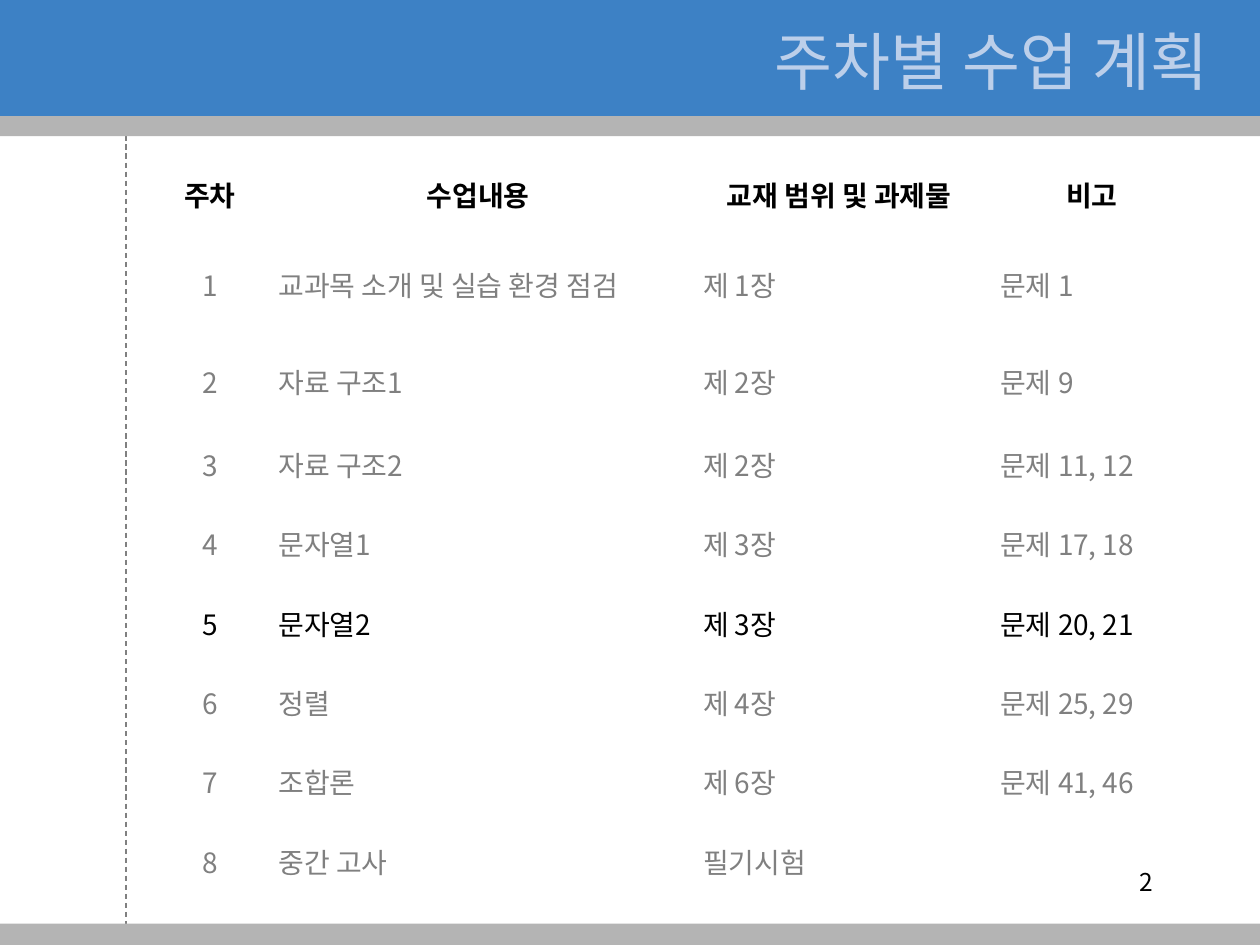
from lxml import etree
from pptx import Presentation
from pptx.dml.color import RGBColor
from pptx.enum import dml, shapes, text
from pptx.oxml.ns import qn
from pptx.util import Inches, Pt

FONT = "Noto Sans CJK KR"
BLACK, GREY, WHITE = "000000", "808080", "FFFFFF"
SILVER, BLUE, PALE_BLUE = "B4B4B4", "3D81C5", "BCCFEA"
LEFT, CENTER, RIGHT, JUSTIFY = (
    text.PP_ALIGN.LEFT, text.PP_ALIGN.CENTER, text.PP_ALIGN.RIGHT, text.PP_ALIGN.JUSTIFY)

HEADINGS = ["주차", "수업내용", "교재 범위 및 과제물", "비고"]
WEEKS = [
    ("교과목 소개 및 실습 환경 점검", "제 1장", "문제 1"),
    ("자료 구조1", "제 2장", "문제 9"),
    ("자료 구조2", "제 2장", "문제 11, 12"),
    ("문자열1 ", "제 3장", "문제 17, 18"),
    ("문자열2", "제 3장", "문제 20, 21"),
    ("정렬", "제 4장", "문제 25, 29"),
    ("조합론", "제 6장", "문제 41, 46"),
    ("중간 고사", "필기시험", ""),
]
CURRENT_WEEK = 5
COLUMN_WIDTHS = [0.89, 3.37, 2.36, 1.65]
COLUMN_ALIGNMENTS = [CENTER, JUSTIFY, LEFT, LEFT]
ROW_HEIGHTS = [0.57, 0.85, 0.69] + [0.63] * 6


def paint(color_format, value):
    color_format.rgb = RGBColor.from_string(value)


def fill_with(fill, value):
    fill.solid()
    paint(fill.fore_color, value)


def write(frame, words, size, color, alignment, bold=False):
    para = frame.paragraphs[0]
    para.alignment = alignment
    if not words:
        return
    span = para.add_run()
    span.text = words
    span.font.size = Pt(size)
    span.font.bold = bold
    span.font.name = FONT
    paint(span.font.color, color)
    east_asian = etree.SubElement(span.font._element, qn("a:ea"))
    east_asian.set("typeface", FONT)


def add_band(page, top, height, color):
    band = page.shapes.add_shape(
        shapes.MSO_SHAPE.RECTANGLE, 0, Inches(top), Inches(10), Inches(height))
    band.shadow.inherit = False
    fill_with(band.fill, color)
    band.line.fill.background()


def add_margin_line(page):
    line = page.shapes.add_connector(
        shapes.MSO_CONNECTOR.STRAIGHT, Inches(1), 0, Inches(1), Inches(7.5))
    paint(line.line.color, GREY)
    line.line.width = Pt(0.75)
    line.line.dash_style = dml.MSO_LINE.DASH
    etree.SubElement(line._element.spPr, qn("a:effectLst"))


def place_title(page, words):
    title = page.shapes.title
    page.shapes._spTree.append(title._element)
    title.left, title.top = Inches(3.82), Inches(0.13)
    title.width, title.height = Inches(5.98), Inches(0.7)
    frame = title.text_frame
    frame.auto_size = text.MSO_AUTO_SIZE.NONE
    frame.vertical_anchor = text.MSO_ANCHOR.MIDDLE
    write(frame, words, 36, PALE_BLUE, RIGHT)


def add_schedule(page):
    rows = [HEADINGS] + [(str(week), *plan) for week, plan in enumerate(WEEKS, 1)]
    table = page.shapes.add_table(
        len(rows), len(HEADINGS), Inches(1.22), Inches(1.26),
        Inches(sum(COLUMN_WIDTHS)), Inches(sum(ROW_HEIGHTS))).table
    table.first_row = False
    table.horz_banding = False
    for column, width in zip(table.columns, COLUMN_WIDTHS):
        column.width = Inches(width)
    for week, words_in_row in enumerate(rows):
        table.rows[week].height = Inches(ROW_HEIGHTS[week])
        heading = week == 0
        color = BLACK if week in (0, CURRENT_WEEK) else GREY
        for index, words in enumerate(words_in_row):
            cell = table.cell(week, index)
            fill_with(cell.fill, WHITE)
            cell.vertical_anchor = text.MSO_ANCHOR.MIDDLE
            alignment = CENTER if heading else COLUMN_ALIGNMENTS[index]
            write(cell.text_frame, words, 16, color, alignment, heading)


def add_page_number(page, number):
    box = page.shapes.add_textbox(Inches(7.17), Inches(6.83), Inches(2.08), Inches(0.5))
    box.text_frame.word_wrap = True
    write(box.text_frame, number, 14, BLACK, RIGHT)


def main():
    deck = Presentation()
    deck.slide_width, deck.slide_height = Inches(10), Inches(7.5)
    page = deck.slides.add_slide(deck.slide_layouts[5])
    add_margin_line(page)
    add_band(page, 0.83, 0.25, SILVER)
    add_band(page, 0, 0.92, BLUE)
    add_band(page, 7.33, 0.17, SILVER)
    place_title(page, "주차별 수업 계획 ")
    add_schedule(page)
    add_page_number(page, "2")
    deck.save("out.pptx")


main()
